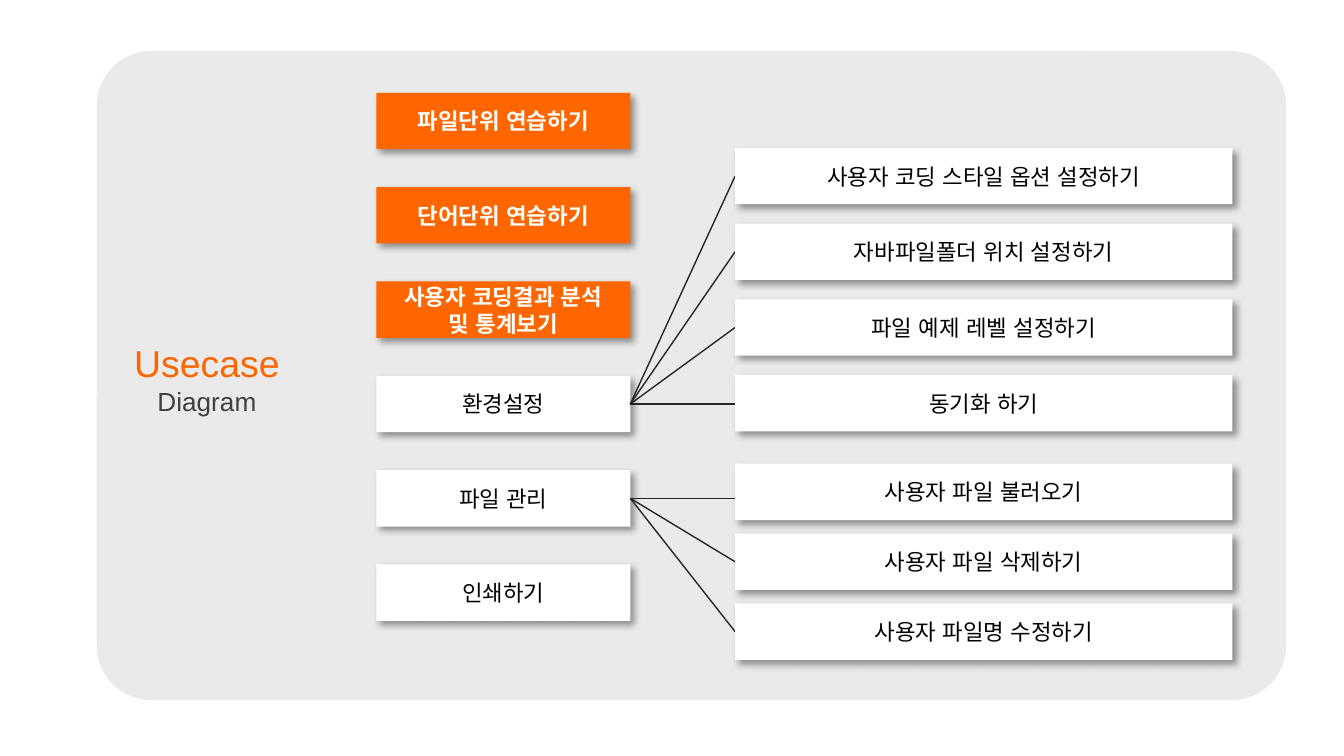
from dataclasses import dataclass

from lxml import etree
from pptx import Presentation
from pptx.dml.color import RGBColor
from pptx.enum.shapes import MSO_CONNECTOR, MSO_SHAPE
from pptx.enum.text import MSO_ANCHOR, PP_ALIGN
from pptx.oxml.ns import qn
from pptx.util import Inches, Pt

RECTANGLE = MSO_SHAPE.RECTANGLE
ROUNDED = MSO_SHAPE.ROUNDED_RECTANGLE
STRAIGHT = MSO_CONNECTOR.STRAIGHT
MIDDLE = MSO_ANCHOR.MIDDLE
CENTER = PP_ALIGN.CENTER


@dataclass(frozen=True)
class Theme:
    font: str = "Arial"
    accent: str = "FF6600"
    white: str = "FFFFFF"
    black: str = "000000"
    panel: str = "D9D9D9"
    subtitle: str = "404040"
    line: str = "262626"
    title_size: int = 20
    subtitle_size: int = 14
    box_size: int = 12
    line_width: float = 0.75


@dataclass(frozen=True)
class Column:
    left: float
    width: float


THEME = Theme()
SLIDE_WIDTH = 10
SLIDE_HEIGHT = SLIDE_WIDTH * 9 / 16
PANEL = (0.72, 0.38, 8.85, 4.83)
TITLE = (0.72, 2.5, 1.64, 0.63)
BOX_HEIGHT = 0.42
LEVEL_TOLERANCE = 0.1
USECASES = Column(2.8, 1.89)
DETAILS = Column(5.47, 3.7)

MAIN_USECASES = ["파일단위 연습하기", "단어단위 연습하기", "사용자 코딩결과 분석\n및 통계보기"]
OTHER_USECASES = ["환경설정", "파일 관리", "인쇄하기"]
SETTINGS = ["사용자 코딩 스타일 옵션 설정하기", "자바파일폴더 위치 설정하기",
            "파일 예제 레벨 설정하기", "동기화 하기"]
FILE_ACTIONS = ["사용자 파일 불러오기", "사용자 파일 삭제하기", "사용자 파일명 수정하기"]


def spread(first, last, count):
    step = (last - first) / (count - 1)
    return [first + step * index for index in range(count)]


def add_text(shape, lines, bold=False):
    frame = shape.text_frame
    frame.word_wrap = True
    frame.vertical_anchor = MIDDLE
    for index, (text, size, color) in enumerate(lines):
        paragraph = frame.add_paragraph() if index else frame.paragraphs[0]
        paragraph.text = text
        paragraph.alignment = CENTER
        font = paragraph.font
        font.name = THEME.font
        font.size = Pt(size)
        font.bold = bold
        font.color.rgb = RGBColor.from_string(color)
        etree.SubElement(font._element, qn("a:ea"), typeface=THEME.font)


def add_block(slide, kind, bounds, color):
    shape = slide.shapes.add_shape(kind, *map(Inches, bounds))
    shape.shadow.inherit = False
    shape.fill.solid()
    shape.fill.fore_color.rgb = RGBColor.from_string(color)
    shape.line.fill.background()
    return shape


def add_alpha(color_element, percent):
    etree.SubElement(color_element, qn("a:alpha"), val=str(percent * 1000))


def add_shadow(shape):
    effects = shape._element.spPr.find(qn("a:effectLst"))
    shadow = etree.SubElement(
        effects, qn("a:outerShdw"), blurRad=str(Pt(4)), dist=str(Pt(3)),
        dir=str(45 * 60000), algn="tl", rotWithShape="0")
    add_alpha(etree.SubElement(shadow, qn("a:srgbClr"), val=THEME.black), 40)


def add_panel(slide):
    panel = add_block(slide, ROUNDED, PANEL, THEME.panel)
    panel.adjustments[0] = 0.084
    add_alpha(panel._element.spPr.find(qn("a:solidFill"))[0], 55)


def add_title(slide):
    title = slide.shapes.add_textbox(*map(Inches, TITLE))
    add_text(title, [("Usecase", THEME.title_size, THEME.accent),
                     ("Diagram", THEME.subtitle_size, THEME.subtitle)])


def add_boxes(slide, column, tops, labels, highlighted=False):
    fill, color = (THEME.accent, THEME.white) if highlighted else (THEME.white, THEME.black)
    for top, label in zip(tops, labels):
        box = add_block(slide, RECTANGLE, (column.left, top, column.width, BOX_HEIGHT), fill)
        add_shadow(box)
        add_text(box, [(line, THEME.box_size, color) for line in label.split("\n")], highlighted)


def add_links(slide, source_top, target_tops):
    start = USECASES.left + USECASES.width
    middle = BOX_HEIGHT / 2
    for top in target_tops:
        end_top = source_top if abs(top - source_top) < LEVEL_TOLERANCE else top
        ends = (start, source_top + middle, DETAILS.left, end_top + middle)
        link = slide.shapes.add_connector(STRAIGHT, *map(Inches, ends))
        link.line.color.rgb = RGBColor.from_string(THEME.line)
        link.line.width = Pt(THEME.line_width)
        etree.SubElement(link._element.spPr, qn("a:effectLst"))


def main():
    presentation = Presentation()
    presentation.slide_width = Inches(SLIDE_WIDTH)
    presentation.slide_height = Inches(SLIDE_HEIGHT)
    slide = presentation.slides.add_slide(presentation.slide_layouts[6])

    usecase_tops = spread(0.69, 4.2, len(MAIN_USECASES) + len(OTHER_USECASES))
    main_tops = usecase_tops[:len(MAIN_USECASES)]
    other_tops = usecase_tops[len(MAIN_USECASES):]
    groups = [(SETTINGS, spread(1.1, 2.79, len(SETTINGS))),
              (FILE_ACTIONS, spread(3.45, 4.49, len(FILE_ACTIONS)))]

    add_panel(slide)
    add_title(slide)
    add_boxes(slide, USECASES, main_tops, MAIN_USECASES, highlighted=True)
    add_boxes(slide, USECASES, other_tops, OTHER_USECASES)
    for source_top, (labels, tops) in zip(other_tops, groups):
        add_links(slide, source_top, tops)
    for labels, tops in groups:
        add_boxes(slide, DETAILS, tops, labels)

    presentation.save("out.pptx")


if __name__ == "__main__":
    main()
